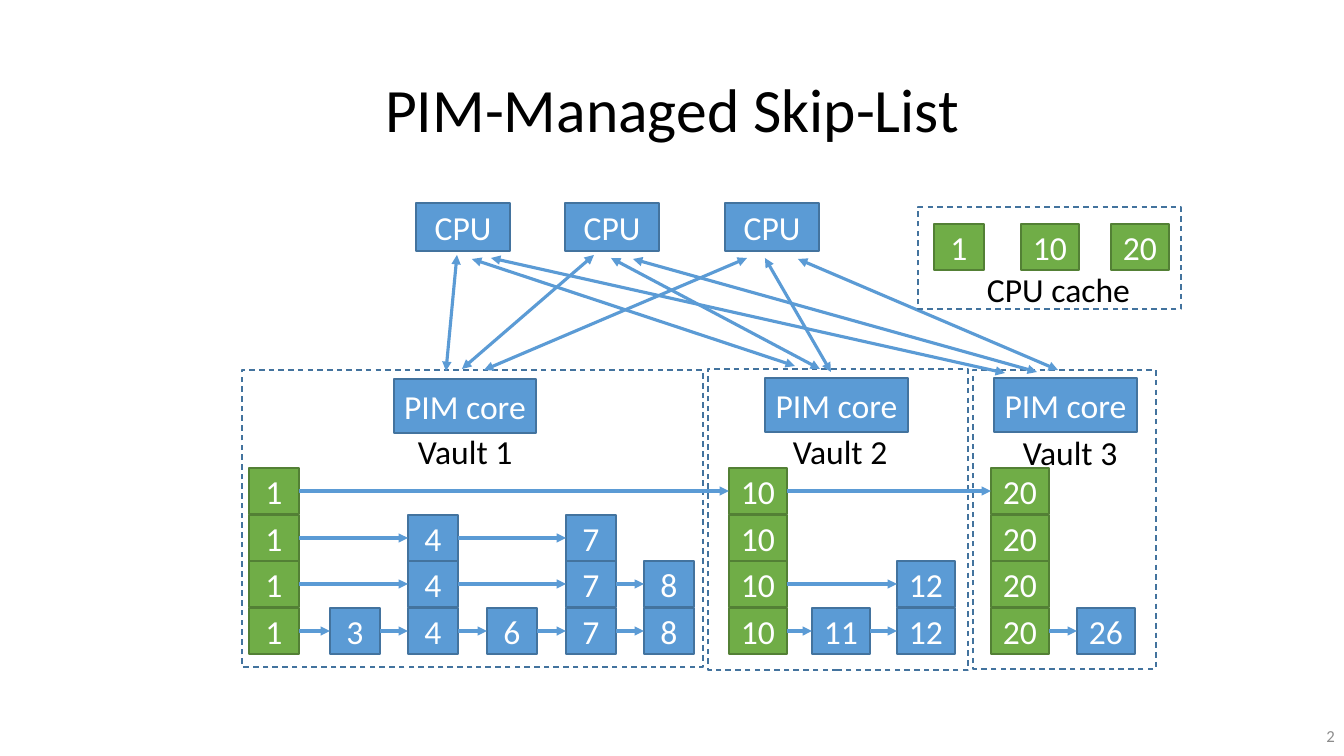
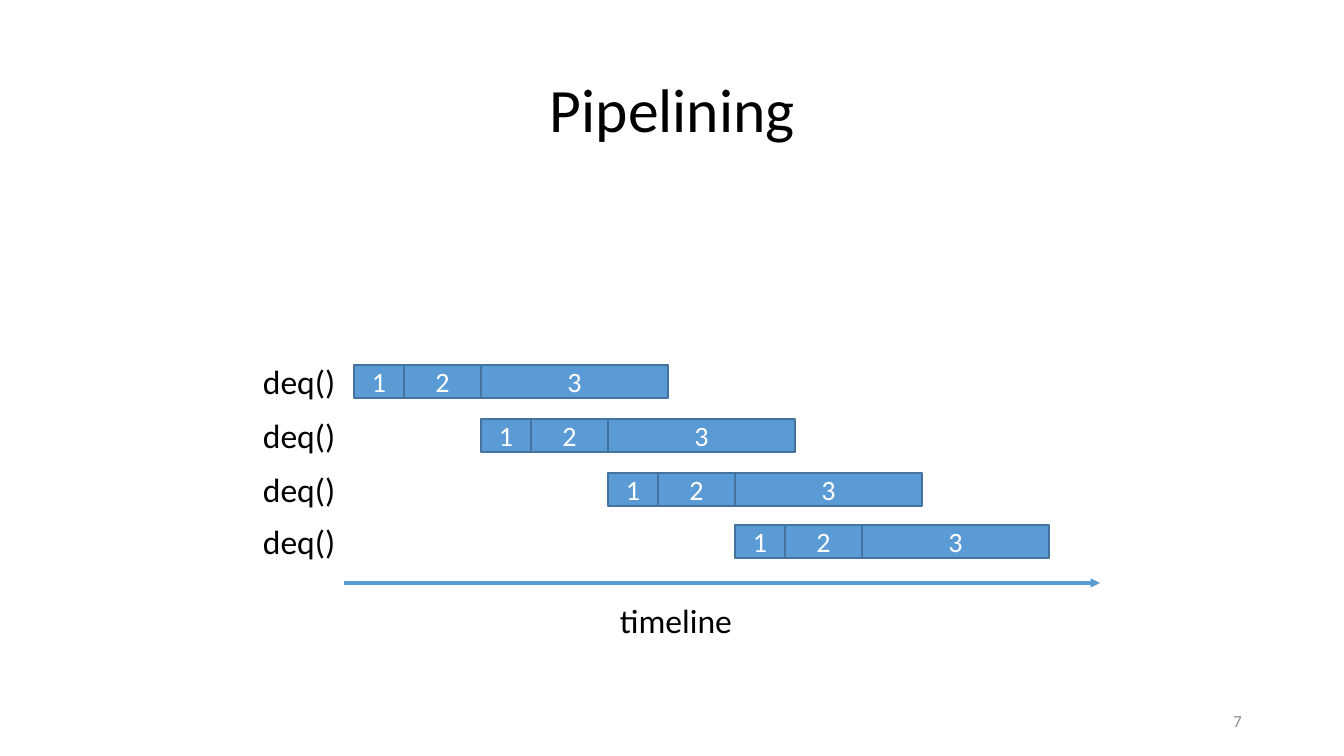
"""Build two slides: a PIM-managed skip-list and a pipelining timeline."""
import dataclasses
import itertools

import lxml.etree
import pptx
import pptx.dml.color
import pptx.enum.dml
import pptx.enum.shapes
import pptx.enum.text
import pptx.oxml.ns
import pptx.util

ALIGN = pptx.enum.text.PP_ALIGN
ANCHOR = pptx.enum.text.MSO_ANCHOR
FIT = pptx.enum.text.MSO_AUTO_SIZE


@dataclasses.dataclass(frozen=True)
class Theme:
    """Colours, type sizes and line widths."""
    font: str = "Calibri"
    black: str = "000000"
    white: str = "FFFFFF"
    grey: str = "8C8C8C"
    blue: str = "5B9BD5"
    blue_edge: str = "43739E"
    green: str = "70AD47"
    green_edge: str = "538035"
    title_size: int = 44
    body_size: int = 24
    stage_size: int = 20
    number_size: int = 12
    edge_width: float = 1
    arrow_width: float = 2.25


THEME = Theme()
SCALE = 914400 / 100.8
SLIDE_SIZE = (1344, 756)
TITLE_BOX = (93, 40, 1159, 146)

SKIP_LIST = {"title": "PIM-Managed Skip-List", "number": "2", "number_box": (1260, 716, 85, 40)}
VAULTS = [
    {"label": "Vault 1", "frame": (242, 370, 461, 297), "core": (394, 379, 142, 54),
     "label_at": (408, 426),
     "towers": [(1, 249, 4), (3, 330, 1), (4, 408, 3), (6, 487, 1), (7, 566, 3), (8, 644, 2)]},
    {"label": "Vault 2", "frame": (708, 369, 260, 301), "core": (765, 378, 143, 54),
     "label_at": (783, 426),
     "towers": [(10, 729, 4), (11, 812, 1), (12, 897, 2)]},
    {"label": "Vault 3", "frame": (973, 370, 183, 299), "core": (994, 378, 143, 54),
     "label_at": (1013, 427),
     "towers": [(20, 991, 4), (26, 1077, 1)]},
]
LEVEL_TOPS = (608, 561, 515, 468)
NODE_HEIGHT = 46
CPU_LEFTS = (416, 565, 725)
CPU_TOP, CPU_WIDTH, CPU_HEIGHT = 203, 94, 48
CACHE_FRAME = (918, 207, 263, 102)
CACHE_NODES = [(1, 934), (10, 1021), (20, 1111)]
CACHE_TOP = 224
CACHE_LABEL = (977, 264, 164, 50)
CORE_TO_CPU = [
    ((446, 371), (457, 255)), ((795, 366), (472, 259)), ((1005, 373), (491, 258)),
    ((462, 369), (594, 255)), ((820, 369), (611, 258)), ((1037, 372), (633, 259)),
    ((484, 370), (747, 258)), ((831, 372), (765, 258)), ((1058, 370), (798, 259)),
]

PIPELINE = {"title": "Pipelining", "number": "7", "number_box": (950, 701, 302, 40)}
OPERATION = "deq()"
BAR_TOPS = (365, 419, 473, 525)
BAR_LEFT, BAR_HEIGHT = 354, 33
STAGES = [("1", 50), ("2", 77), ("3", 187)]
OPERATION_LEFT, OPERATION_WIDTH, OPERATION_RISE = 253, 94, 9
TIMELINE = ((344, 583), (1100, 583))
TIMELINE_LABEL = (610, 595, 134, 50)


def emu(*pixels):
    return [pptx.util.Emu(round(pixel * SCALE)) for pixel in pixels]


def rgb(code):
    return pptx.dml.color.RGBColor.from_string(code)


def write(shape, text, size=THEME.body_size, color=THEME.black, align=ALIGN.LEFT,
          anchor=ANCHOR.TOP, wrap=False, fit=FIT.NONE, spacing=None):
    frame = shape.text_frame
    frame.word_wrap = wrap
    frame.auto_size = fit
    frame.vertical_anchor = anchor
    para = frame.paragraphs[0]
    para.alignment = align
    para.line_spacing = spacing
    span = para.add_run()
    span.text = text
    span.font.name = THEME.font
    span.font.size = pptx.util.Pt(size)
    span.font.color.rgb = rgb(color)


def add_label(page, text, box, **style):
    write(page.shapes.add_textbox(*emu(*box)), text, **style)


def add_box(page, box, text="", fill=THEME.blue, edge=THEME.blue_edge, size=THEME.body_size):
    shape = page.shapes.add_shape(pptx.enum.shapes.MSO_SHAPE.RECTANGLE, *emu(*box))
    shape.shadow.inherit = False
    shape.fill.solid()
    shape.fill.fore_color.rgb = rgb(fill)
    shape.line.color.rgb = rgb(edge)
    shape.line.width = pptx.util.Pt(THEME.edge_width)
    if text:
        write(shape, text, size=size, color=THEME.white, align=ALIGN.CENTER, anchor=ANCHOR.MIDDLE)
    return shape


def add_frame(page, box):
    shape = add_box(page, box)
    shape.fill.background()
    shape.line.dash_style = pptx.enum.dml.MSO_LINE.DASH


def add_arrow(page, start, end, ends=("tailEnd",)):
    arrow = page.shapes.add_connector(
        pptx.enum.shapes.MSO_CONNECTOR.STRAIGHT, *emu(*start, *end))
    arrow.line.color.rgb = rgb(THEME.blue)
    arrow.line.width = pptx.util.Pt(THEME.arrow_width)
    qualify = pptx.oxml.ns.qn
    properties = arrow._element.spPr
    for name in ends:
        lxml.etree.SubElement(properties.find(qualify("a:ln")), qualify("a:" + name), type="triangle")
    lxml.etree.SubElement(properties, qualify("a:effectLst"))


def add_page(deck, heading):
    page = deck.slides.add_slide(deck.slide_layouts.get_by_name("Title Only"))
    title = page.shapes.title
    title.left, title.top, title.width, title.height = emu(*TITLE_BOX)
    write(title, heading["title"], size=THEME.title_size, align=ALIGN.CENTER,
          anchor=ANCHOR.MIDDLE, wrap=True, spacing=0.9)
    add_label(page, heading["number"], heading["number_box"], size=THEME.number_size,
              color=THEME.grey, align=ALIGN.RIGHT, anchor=ANCHOR.MIDDLE, wrap=True)
    return page


def node_width(key):
    return 50 if key < 10 else 58


def add_node(page, key, left, top, shared):
    colors = (THEME.green, THEME.green_edge) if shared else (THEME.blue, THEME.blue_edge)
    add_box(page, (left, top, node_width(key), NODE_HEIGHT), str(key), *colors)


def link_level(page, towers, level):
    middle = LEVEL_TOPS[level] + NODE_HEIGHT / 2
    reached = [tower for tower in towers if tower[2] > level]
    for (key, left, _), (_, target, _) in itertools.pairwise(reached):
        add_arrow(page, (left + node_width(key), middle), (target, middle))


def build_skip_list(deck):
    page = add_page(deck, SKIP_LIST)
    top_level = len(LEVEL_TOPS) - 1
    for vault in VAULTS:
        add_frame(page, vault["frame"])
        add_box(page, vault["core"], "PIM core")
        add_label(page, vault["label"], (*vault["label_at"], 116, 50), fit=FIT.SHAPE_TO_FIT_TEXT)
        for key, left, height in vault["towers"]:
            for top in LEVEL_TOPS[:height]:
                add_node(page, key, left, top, shared=height > top_level)
        for level in range(top_level):
            link_level(page, vault["towers"], level)
    link_level(page, [tower for vault in VAULTS for tower in vault["towers"]], top_level)

    for left in CPU_LEFTS:
        add_box(page, (left, CPU_TOP, CPU_WIDTH, CPU_HEIGHT), "CPU")
    for core, cpu in CORE_TO_CPU:
        add_arrow(page, core, cpu, ends=("headEnd", "tailEnd"))

    add_frame(page, CACHE_FRAME)
    for key, left in CACHE_NODES:
        add_node(page, key, left, CACHE_TOP, shared=True)
    add_label(page, "CPU cache", CACHE_LABEL, fit=FIT.SHAPE_TO_FIT_TEXT)


def build_pipeline(deck):
    page = add_page(deck, PIPELINE)
    start = BAR_LEFT
    for top in BAR_TOPS:
        add_label(page, OPERATION, (OPERATION_LEFT, top - OPERATION_RISE, OPERATION_WIDTH, 50),
                  fit=FIT.SHAPE_TO_FIT_TEXT)
        left = start
        for name, width in STAGES:
            add_box(page, (left, top, width, BAR_HEIGHT), name, size=THEME.stage_size)
            left += width
        start += sum(width for _, width in STAGES[:-1])
    add_arrow(page, *TIMELINE)
    add_label(page, "timeline", TIMELINE_LABEL, fit=FIT.SHAPE_TO_FIT_TEXT)


def main():
    deck = pptx.Presentation()
    deck.slide_width, deck.slide_height = emu(*SLIDE_SIZE)
    build_skip_list(deck)
    build_pipeline(deck)
    deck.save("out.pptx")


main()
